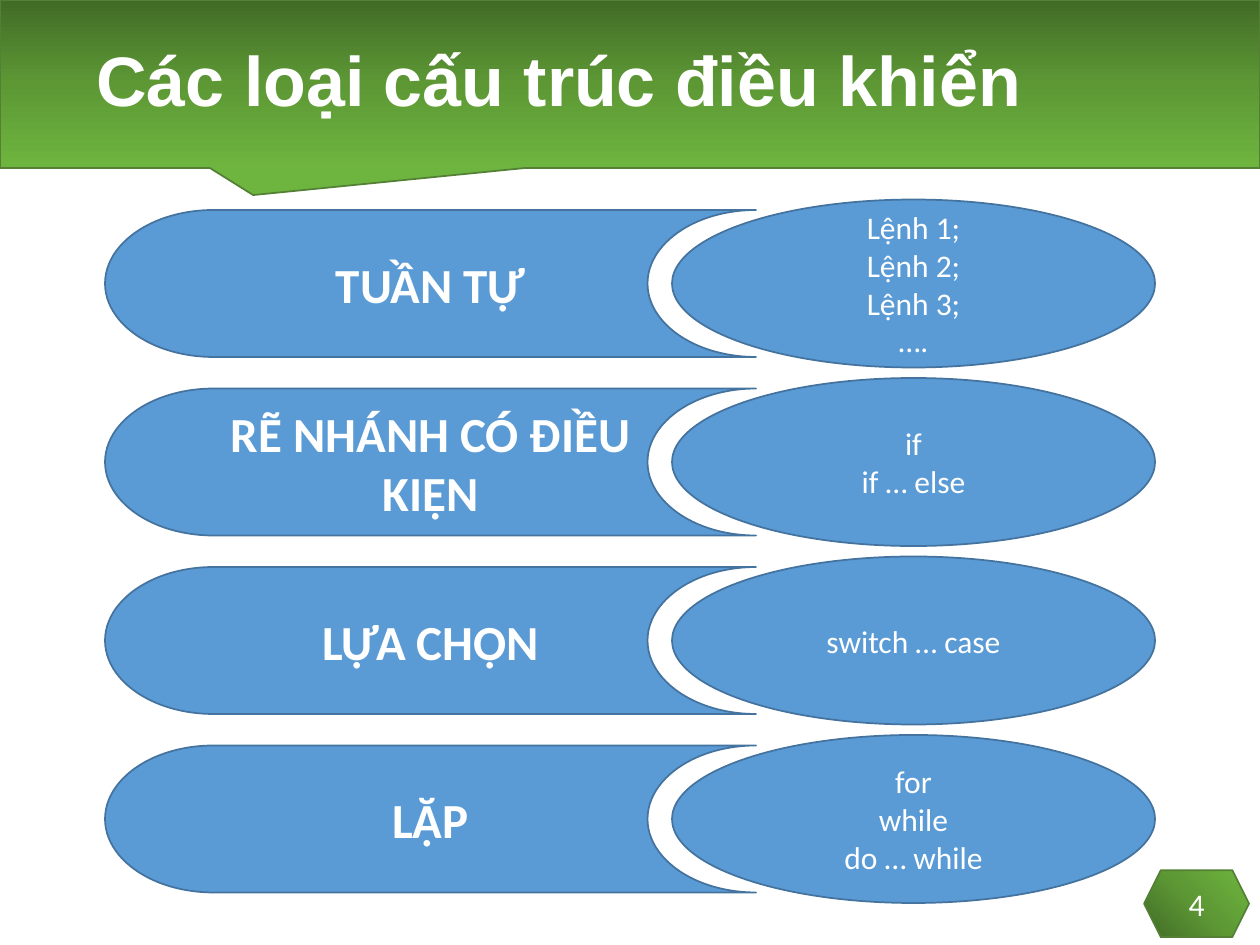
from dataclasses import dataclass

import pptx
import pptx.dml.color
import pptx.enum.shapes
import pptx.enum.text
import pptx.oxml
import pptx.oxml.ns
import pptx.shapes.autoshape
import pptx.slide
import pptx.util

Pt = pptx.util.Pt
RGBColor = pptx.dml.color.RGBColor
Preset = pptx.enum.shapes.MSO_SHAPE
Align = pptx.enum.text.PP_ALIGN

WHITE = RGBColor(0xFF, 0xFF, 0xFF)
BLUE = RGBColor(0x5B, 0x9B, 0xD5)
BLUE_EDGE = RGBColor(0x43, 0x73, 0x9E)
GREEN_EDGE = RGBColor(0x53, 0x80, 0x35)
GREEN_STOPS = {
    0: RGBColor(0x41, 0x6B, 0x26),
    50: RGBColor(0x5D, 0x98, 0x35),
    100: RGBColor(0x6E, 0xB5, 0x3F),
}
DOWNWARD = '<a:lin ang="5400000" scaled="0"/>'
FROM_BOTTOM_LEFT = (
    '<a:path path="circle"><a:fillToRect t="100000" r="100000"/></a:path>'
)

TITLE_FONT = {"name": "Arial", "size": Pt(40), "bold": True}
STRUCTURE_FONT = {"name": "Calibri", "size": Pt(28), "bold": True}
BODY_FONT = {"name": "Calibri", "size": Pt(18)}

ROW_TOP, ROW_PITCH = 114, 102
STRUCTURE_HEIGHT, SYNTAX_HEIGHT = 84, 96


@dataclass
class Box:
    left: float
    top: float
    width: float
    height: float

    def lengths(self) -> list[pptx.util.Length]:
        return [Pt(v) for v in (self.left, self.top, self.width, self.height)]


@dataclass
class ControlStructure:
    name: str
    syntax: list[str]


STRUCTURES = [
    ControlStructure("TUẦN TỰ", ["Lệnh 1;", "Lệnh 2;", "Lệnh 3;", "…."]),
    ControlStructure("RẼ NHÁNH CÓ ĐIỀU KIỆN", ["if", "if … else"]),
    ControlStructure("LỰA CHỌN", ["switch … case"]),
    ControlStructure("LẶP", ["for", "while", "do … while"]),
]


def write_lines(
    shape: pptx.shapes.autoshape.Shape,
    lines: list[str],
    font: dict,
    alignment: Align = Align.CENTER,
    line_spacing: float = 1.0,
) -> None:
    frame = shape.text_frame
    frame.word_wrap = True
    frame.vertical_anchor = pptx.enum.text.MSO_ANCHOR.MIDDLE
    frame.text = "\n".join(lines)
    for paragraph in frame.paragraphs:
        paragraph.alignment = alignment
        paragraph.line_spacing = line_spacing
        for run in paragraph.runs:
            for attribute, value in font.items():
                setattr(run.font, attribute, value)
            run.font.color.rgb = WHITE


def add_outlined(
    slide: pptx.slide.Slide, preset: Preset, box: Box, edge: RGBColor
) -> pptx.shapes.autoshape.Shape:
    shape = slide.shapes.add_shape(preset, *box.lengths())
    shape.shadow.inherit = False
    shape.line.color.rgb = edge
    shape.line.width = Pt(1)
    return shape


def add_blue(
    slide: pptx.slide.Slide, preset: Preset, box: Box, lines: list[str], font: dict
) -> None:
    shape = add_outlined(slide, preset, box, BLUE_EDGE)
    shape.fill.solid()
    shape.fill.fore_color.rgb = BLUE
    write_lines(shape, lines, font)


def add_green(
    slide: pptx.slide.Slide, preset: Preset, box: Box, direction: str
) -> pptx.shapes.autoshape.Shape:
    """Add a shape with the three-stop green gradient; direction is its XML."""
    shape = add_outlined(slide, preset, box, GREEN_EDGE)
    stops = "".join(
        f'<a:gs pos="{percent * 1000}"><a:srgbClr val="{color}"/></a:gs>'
        for percent, color in GREEN_STOPS.items()
    )
    gradient = pptx.oxml.parse_xml(
        f'<a:gradFill {pptx.oxml.ns.nsdecls("a")} rotWithShape="1">'
        f"<a:gsLst>{stops}</a:gsLst>{direction}</a:gradFill>"
    )
    shape.fill.gradient()
    properties = shape._element.spPr
    properties.replace(properties.find(pptx.oxml.ns.qn("a:gradFill")), gradient)
    return shape


def main() -> None:
    deck = pptx.Presentation()
    deck.slide_width, deck.slide_height = Pt(720), Pt(540)
    slide = deck.slides.add_slide(deck.slide_layouts[6])

    banner = add_green(
        slide, Preset.RECTANGULAR_CALLOUT, Box(0, 0, 720, 96), DOWNWARD
    )
    banner.adjustments[0] = -0.299
    banner.adjustments[1] = 0.661

    page_number = add_green(
        slide, Preset.HEXAGON, Box(653.75, 497.25, 60, 38.25), FROM_BOTTOM_LEFT
    )
    write_lines(page_number, ["4"], BODY_FONT)

    title = slide.shapes.add_textbox(*Box(48, 6, 654, 84).lengths())
    write_lines(
        title, ["Các loại cấu trúc điều khiển"], TITLE_FONT, Align.LEFT, 0.9
    )

    inset = (SYNTAX_HEIGHT - STRUCTURE_HEIGHT) / 2
    row_tops = [ROW_TOP + ROW_PITCH * row for row in range(len(STRUCTURES))]
    for top, structure in zip(row_tops, STRUCTURES):
        add_blue(
            slide,
            Preset.FLOWCHART_STORED_DATA,
            Box(60, top + inset, 372, STRUCTURE_HEIGHT),
            [structure.name],
            STRUCTURE_FONT,
        )
    for top, structure in zip(row_tops, STRUCTURES):
        add_blue(
            slide,
            Preset.OVAL,
            Box(384, top, 276, SYNTAX_HEIGHT),
            structure.syntax,
            BODY_FONT,
        )

    deck.save("out.pptx")


if __name__ == "__main__":
    main()
